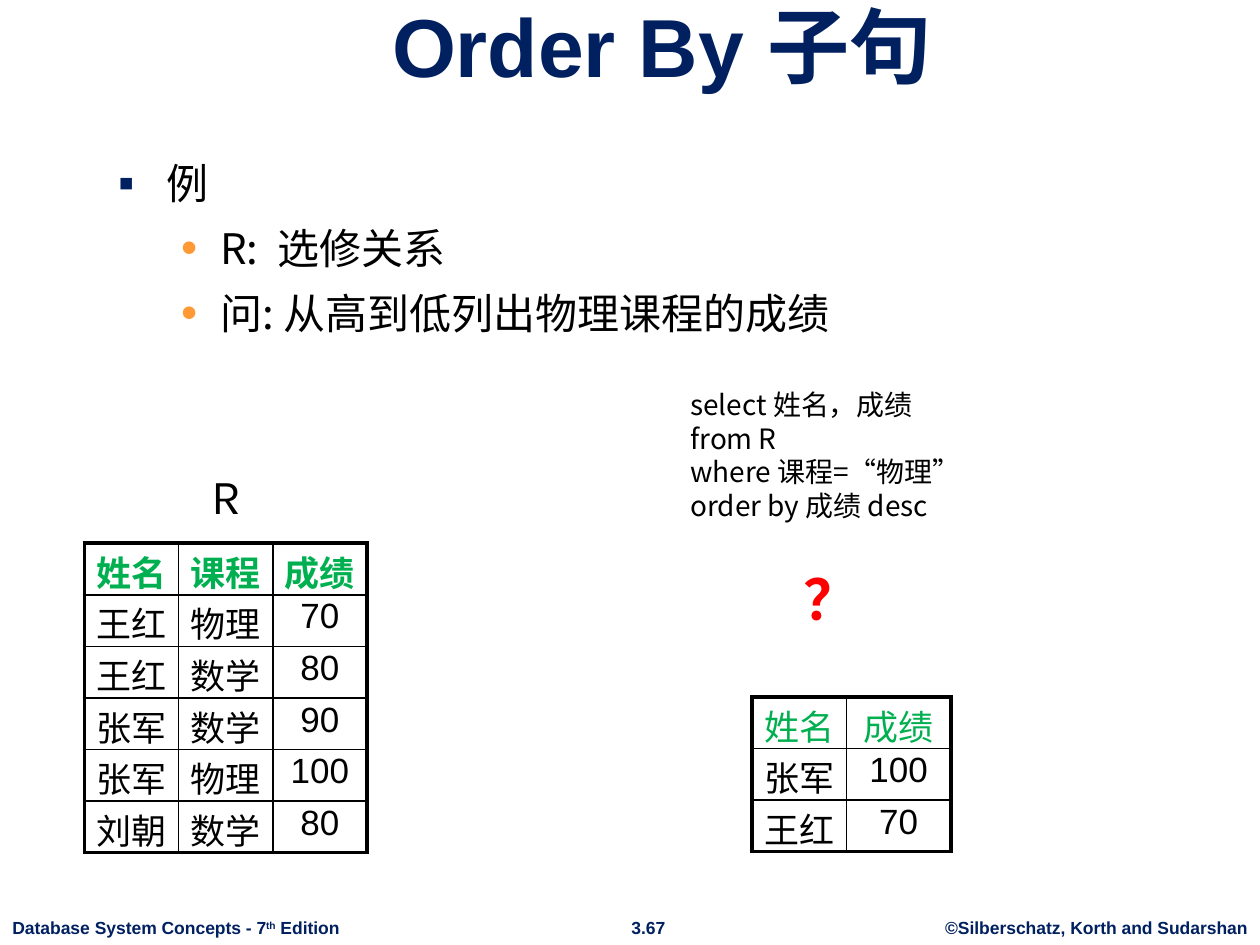
from lxml import etree
from pptx import Presentation
from pptx.dml.color import RGBColor
from pptx.enum.text import MSO_ANCHOR, MSO_AUTO_SIZE, PP_ALIGN
from pptx.oxml.ns import qn
from pptx.util import Cm, Pt

CENTER, LEFT = PP_ALIGN.CENTER, PP_ALIGN.LEFT
NAVY = RGBColor(0x00, 0x20, 0x60)
BLACK = RGBColor(0x00, 0x00, 0x00)
WHITE = RGBColor(0xFF, 0xFF, 0xFF)
GREEN = RGBColor(0x00, 0xB0, 0x50)
ORANGE = RGBColor(0xFF, 0x99, 0x33)
RED = RGBColor(0xFF, 0x00, 0x00)
CJK = "Noto Sans CJK SC"
OUTER, INNER = 2.25, 1

TITLE = "Order By 子句"
BULLETS = [
    ("例", 0),
    ("R:  选修关系", 1),
    ("问: 从高到低列出物理课程的成绩", 1),
]
LEVELS = [
    {"mark": "▪", "color": NAVY, "margin": 0.97, "hanging": 0.97},
    {"mark": "•", "color": ORANGE, "margin": 2.06, "hanging": 0.79},
]
QUERY = ["select 姓名，成绩", "from R", "where 课程=“物理”", "order by 成绩 desc"]
COURSES = [
    ("姓名", "课程", "成绩"),
    ("王红", "物理", "70"),
    ("王红", "数学", "80"),
    ("张军", "数学", "90"),
    ("张军", "物理", "100"),
    ("刘朝", "数学", "80"),
]
RESULT = [("姓名", "成绩"), ("张军", "100"), ("王红", "70")]
ROW_HEIGHT = 1.04
FOOTERS = [
    ((18.8, 18.36, 6.6, 0.69), CENTER, [("©Silberschatz, Korth and Sudarshan", 0)]),
    ((12.45, 18.36, 1.24, 0.69), CENTER, [("3.67", 0)]),
    ((0, 18.36, 7.14, 0.69), LEFT,
     [("Database System Concepts - 7", 0), ("th", 30000), (" Edition", 0)]),
]


def add_span(para, text, size, color, font="Arial", bold=False):
    span = para.add_run()
    span.text = text
    span.font.size = Pt(size)
    span.font.bold = bold
    span.font.name = font
    span.font.color.rgb = color
    properties = span._r.get_or_add_rPr()
    etree.SubElement(properties, qn("a:ea"), typeface=CJK)
    return properties


def add_box(page, place, wrap=True):
    frame = page.shapes.add_textbox(*map(Cm, place)).text_frame
    frame.word_wrap = wrap
    return frame


def add_lines(frame, count):
    return [frame.paragraphs[0]] + [frame.add_paragraph() for _ in range(count - 1)]


def set_bullet(para, mark, color, margin, hanging):
    properties = para._p.get_or_add_pPr()
    properties.set("marL", str(Cm(margin)))
    properties.set("indent", str(-Cm(hanging)))
    tint = etree.SubElement(properties, qn("a:buClr"))
    etree.SubElement(tint, qn("a:srgbClr"), val=str(color))
    etree.SubElement(properties, qn("a:buSzPct"), val="110000")
    etree.SubElement(properties, qn("a:buFont"), typeface="Arial")
    etree.SubElement(properties, qn("a:buChar"), char=mark)


def set_borders(cell, widths):
    properties = cell._tc.get_or_add_tcPr()
    for side, width in zip("LRTB", widths):
        line = etree.SubElement(properties, qn(f"a:ln{side}"), w=str(Pt(width)))
        fill = etree.SubElement(line, qn("a:solidFill"))
        etree.SubElement(fill, qn("a:srgbClr"), val=str(BLACK))


def add_grid(page, left, top, widths, rows, bold_head):
    last_row, last_column = len(rows) - 1, len(widths) - 1
    table = page.shapes.add_table(
        len(rows), len(widths), Cm(left), Cm(top),
        Cm(sum(widths)), Cm(ROW_HEIGHT * len(rows))).table
    table.horz_banding = False
    table.first_row = False
    for column, width in zip(table.columns, widths):
        column.width = Cm(width)
    for r, row in enumerate(rows):
        table.rows[r].height = Cm(ROW_HEIGHT)
        for c, text in enumerate(row):
            cell = table.cell(r, c)
            edges = (c == 0, c == last_column, r == 0, r == last_row)
            set_borders(cell, [OUTER if edge else INNER for edge in edges])
            cell.fill.solid()
            cell.fill.fore_color.rgb = WHITE
            cell.margin_left = cell.margin_right = Cm(0.1)
            cell.margin_top = cell.margin_bottom = Cm(0.05)
            para = cell.text_frame.paragraphs[0]
            para.alignment = CENTER
            head = r == 0
            add_span(para, text, 20, GREEN if head else BLACK, bold=head and bold_head)


def main():
    deck = Presentation()
    deck.slide_width, deck.slide_height = Cm(25.4), Cm(19.05)
    page = deck.slides.add_slide(deck.slide_layouts[5])

    for place, align, parts in FOOTERS:
        para = add_box(page, place, wrap=False).paragraphs[0]
        para.alignment = align
        for text, baseline in parts:
            properties = add_span(para, text, 10, NAVY, bold=True)
            if baseline:
                properties.set("baseline", str(baseline))

    title = page.shapes.title
    title.left, title.top, title.width, title.height = map(Cm, (2.13, 0.33, 22.43, 1.7))
    frame = title.text_frame
    frame.auto_size = MSO_AUTO_SIZE.NONE
    frame.vertical_anchor = MSO_ANCHOR.BOTTOM
    frame.paragraphs[0].alignment = CENTER
    add_span(frame.paragraphs[0], TITLE, 47, NAVY, bold=True)

    frame = add_box(page, (2.13, 3.05, 21.41, 13.61))
    for para, (text, level) in zip(add_lines(frame, len(BULLETS)), BULLETS):
        para.level = level
        para.line_spacing = Pt(28.7)
        para.space_before = Pt(8.4 if level else 0)
        set_bullet(para, **LEVELS[level])
        add_span(para, text, 24, BLACK, CJK)

    add_grid(page, 1.7, 10.95, [1.9, 1.9, 1.9], COURSES, bold_head=True)
    para = add_box(page, (2.97, 9.25, 3.18, 1.45)).paragraphs[0]
    para.alignment = CENTER
    add_span(para, "R", 28, BLACK, "Karla")

    add_grid(page, 15.16, 14.05, [1.9, 2.11], RESULT, bold_head=False)
    para = add_box(page, (15.93, 11.05, 1.65, 1.65), wrap=False).paragraphs[0]
    para.alignment = CENTER
    para.line_spacing = 1.15
    add_span(para, "？", 32, RED, "Karla", bold=True)

    frame = add_box(page, (13.67, 7.7, 10.24, 3))
    for para, text in zip(add_lines(frame, len(QUERY)), QUERY):
        para.line_spacing = Pt(19.1)
        add_span(para, text, 16, BLACK, CJK)

    deck.save("out.pptx")


if __name__ == "__main__":
    main()
